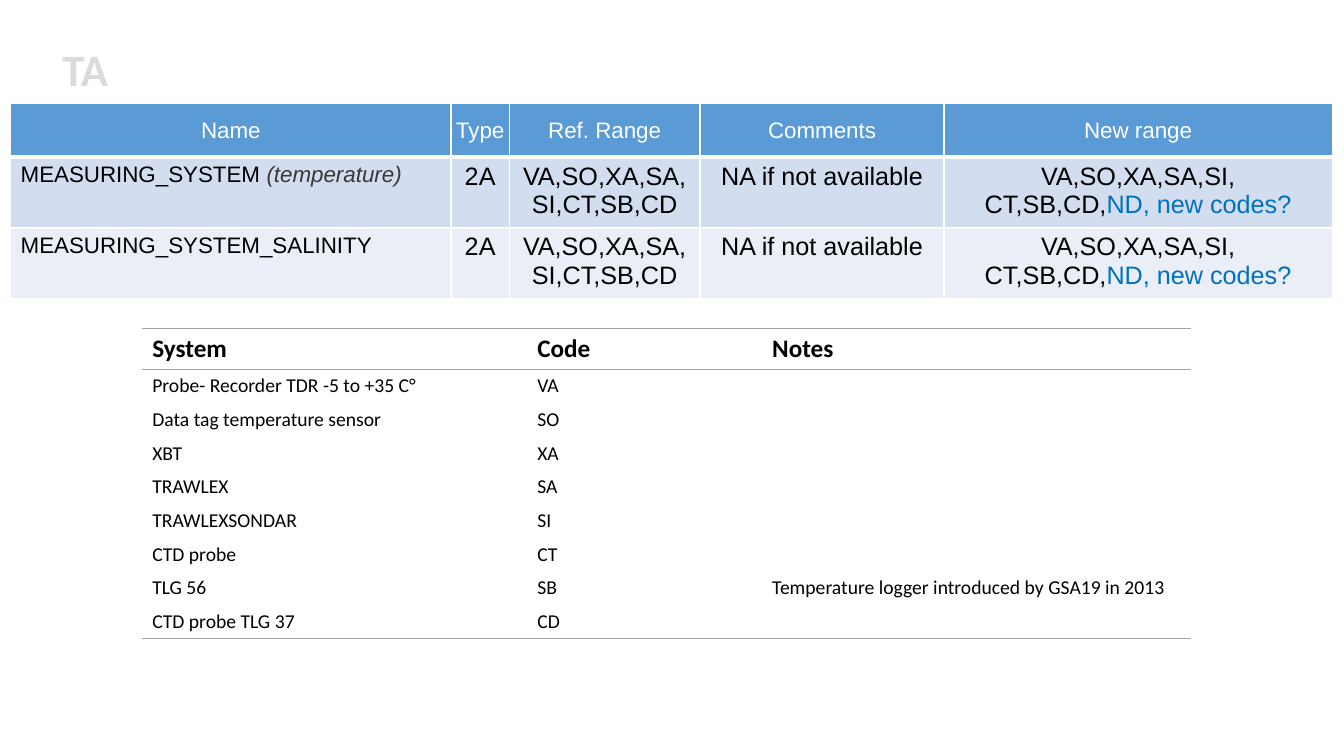
from dataclasses import dataclass

from lxml.etree import SubElement
from pptx import Presentation
from pptx.dml.color import RGBColor as RGB
from pptx.enum.dml import MSO_PATTERN as PATTERN
from pptx.enum.text import MSO_ANCHOR as ANCHOR, MSO_AUTO_SIZE as AUTO, PP_ALIGN as ALIGN
from pptx.oxml.ns import qn
from pptx.util import Pt


@dataclass(frozen=True)
class Theme:
    sans: str = "Calibri"
    grid: str = "Arial"
    title: int = 32
    large: int = 18
    medium: int = 16
    small: int = 14
    black: str = "000000"
    white: str = "FFFFFF"
    header: str = "5B9BD5"
    bands: tuple = ("D2DEEF", "EAEFF7")
    blue: str = "0070C0"
    dark: str = "3B3838"
    rule: str = "A5A5A5"
    pale: str = "DBDBDB"
    outline: str = "525252"


class Builder:
    def __init__(self, prs, theme):
        self.t = theme
        self.s = prs.slides.add_slide(prs.slide_layouts[6])

    def run(self, p, text, **fmt):
        r = p.add_run()
        r.text = text
        r.font.color.rgb = RGB.from_string(fmt.pop("color", self.t.black))
        for key, value in fmt.items():
            setattr(r.font, key, value)
        return r

    def line(self, parent, tag, color, width):
        ln = SubElement(parent, qn(f"a:{tag}"), w=str(Pt(width)))
        if color:
            SubElement(SubElement(ln, qn("a:solidFill")), qn("a:srgbClr"), val=color)
        else:
            SubElement(ln, qn("a:noFill"))
        return ln

    def title(self, text, x, y, w, h):
        tf = self.s.shapes.add_textbox(Pt(x), Pt(y), Pt(w), Pt(h)).text_frame
        for key, value in {"word_wrap": True, "auto_size": AUTO.SHAPE_TO_FIT_TEXT}.items():
            setattr(tf, key, value)
        r = self.run(tf.paragraphs[0], text, name=self.t.sans, size=Pt(self.t.title), bold=True)
        fill = r.font.fill
        fill.patterned()
        fill.pattern = PATTERN.NARROW_HORIZONTAL
        fill.fore_color.rgb = RGB.from_string(self.t.rule)
        fill.back_color.rgb = RGB.from_string(self.t.pale)
        rpr = r.font._element
        rpr.insert(0, self.line(rpr, "ln", self.t.outline, 1))

    def table(self, x, y, widths, heights):
        shape = self.s.shapes.add_table(len(heights), len(widths), Pt(x), Pt(y),
                                        Pt(sum(widths)), Pt(sum(heights)))
        tbl = shape.table
        for key in ("first_row", "horz_banding"):
            setattr(tbl, key, False)
        for col, w in zip(tbl.columns, widths):
            col.width = Pt(w)
        for row, h in zip(tbl.rows, heights):
            row.height = Pt(h)
        return tbl

    def cell(self, cell, paragraphs, font, borders, fill=None, align=ALIGN.LEFT, **fmt):
        tcpr = cell._tc.get_or_add_tcPr()
        for side in "LRTB":
            self.line(tcpr, f"ln{side}", *borders.get(side, (None, 1)))
        if fill:
            cell.fill.solid()
            cell.fill.fore_color.rgb = RGB.from_string(fill)
        else:
            cell.fill.background()
        for key, value in fmt.items():
            setattr(cell, key, value)
        tf = cell.text_frame
        for i, runs in enumerate(paragraphs):
            p = tf.add_paragraph() if i else tf.paragraphs[0]
            p.alignment = align
            for text, extra in runs:
                if text:
                    self.run(p, text, **{**font, **extra})
                else:
                    SubElement(p._p, qn("a:endParaRPr"), sz=str(int(font["size"].pt * 100)))


def systems_table(b):
    t = b.t
    rows = [
        ("System", "Code", "Notes"),
        ("Probe- Recorder TDR -5 to +35 C°", "VA", ""),
        ("Data tag temperature sensor", "SO", ""),
        ("XBT", "XA", ""),
        ("TRAWLEX", "SA", ""),
        ("TRAWLEXSONDAR", "SI", ""),
        ("CTD probe", "CT", ""),
        ("TLG 56", "SB", "Temperature logger introduced by GSA19 in 2013"),
        ("CTD probe TLG 37", "CD", ""),
    ]
    last = len(rows) - 1
    tbl = b.table(101.6, 234.5, (275, 167.8, 306.7), [29.2] + [24] * last)
    rule = (t.rule, 1)
    edges = {0: {"T": rule, "B": rule}, 1: {"T": rule}, last: {"B": rule}}
    for i, row in enumerate(rows):
        font = {"name": t.sans, "size": Pt(t.small if i else t.large), "bold": i == 0}
        for j, text in enumerate(row):
            b.cell(tbl.cell(i, j), [[(text, {})]], font, edges.get(i, {}))


def fields_table(b):
    t = b.t
    header = ("Name", "Type", "Ref. Range", "Comments", "New range")
    names = (
        [("MEASURING_SYSTEM ", {}), ("(temperature)", {"italic": True, "color": t.dark})],
        [("MEASURING_SYSTEM_SALINITY", {})],
    )
    shared = (
        [[("2A", {})]],
        [[("VA,SO,XA,SA,SI,CT,SB,CD", {})]],
        [[("NA if not available", {})]],
        [[("VA,SO,XA,SA,SI,", {})],
         [("CT,SB,CD,", {}), ("ND, new codes?", {"color": t.blue})]],
    )
    tbl = b.table(7.6, 73.8, (314.6, 41.6, 136.3, 174.3, 277.2), (38.6, 50.2, 50.2))
    thin, thick = (t.white, 1), (t.white, 3)
    grid = dict.fromkeys("LRTB", thin)
    medium = {"name": t.grid, "size": Pt(t.medium)}
    large = {"name": t.grid, "size": Pt(t.large)}
    margins = {"margin_left": Pt(0.72), "margin_right": Pt(0.72),
               "margin_top": Pt(0.72), "margin_bottom": 0}
    for j, text in enumerate(header):
        b.cell(tbl.cell(0, j), [[(text, {"color": t.white})]], medium, {**grid, "B": thick},
               t.header, ALIGN.CENTER, vertical_anchor=ANCHOR.MIDDLE, **margins)
    for i, (name, band) in enumerate(zip(names, t.bands), 1):
        borders = {**grid, "T": thick if i == 1 else thin}
        b.cell(tbl.cell(i, 0), [name], medium, borders, band)
        for j, paragraphs in enumerate(shared, 1):
            b.cell(tbl.cell(i, j), paragraphs, large, borders, band, ALIGN.CENTER)


def main():
    prs = Presentation()
    prs.slide_width, prs.slide_height = Pt(960), Pt(540)
    b = Builder(prs, Theme())
    b.title("TA", 37.4, 26.6, 63.4, 46.1)
    systems_table(b)
    fields_table(b)
    prs.save("out.pptx")


if __name__ == "__main__":
    main()
